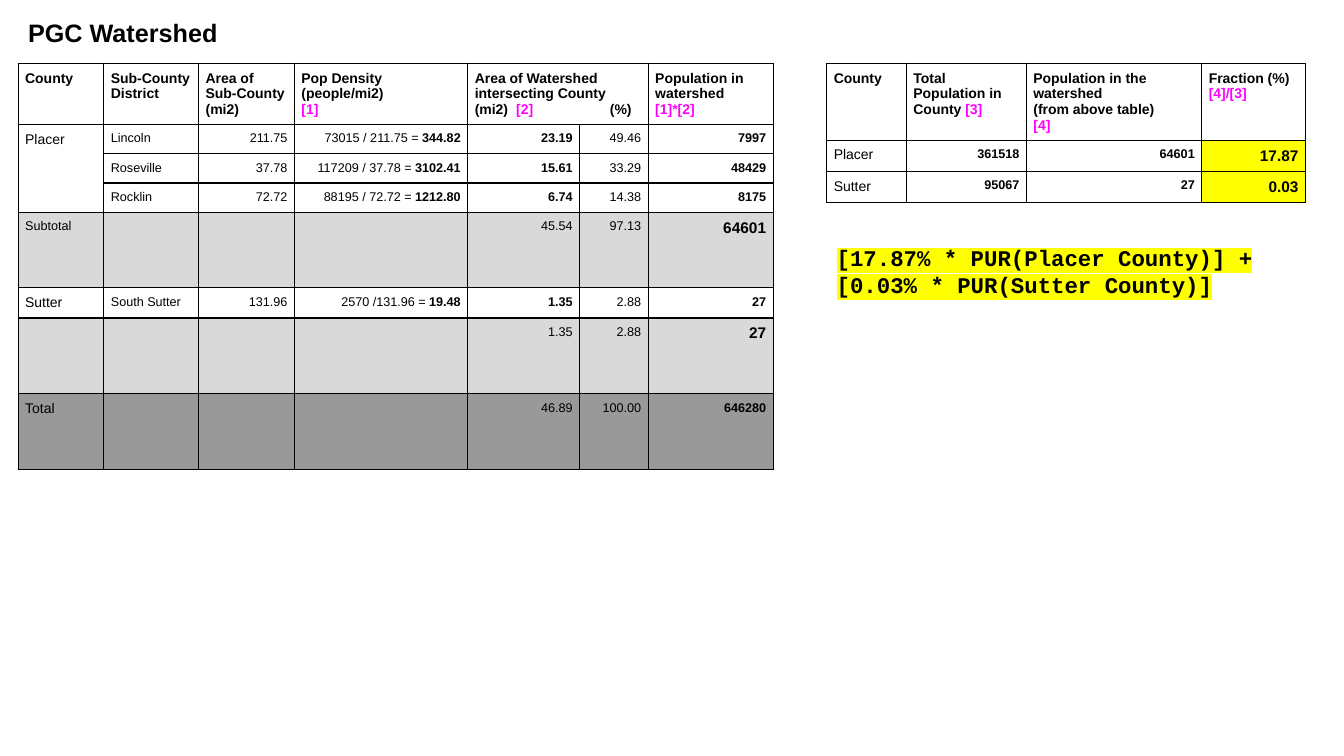
from dataclasses import dataclass

from lxml import etree
from pptx import Presentation
from pptx.dml.color import RGBColor
from pptx.enum.text import MSO_ANCHOR, PP_ALIGN
from pptx.oxml.ns import qn
from pptx.util import Inches, Pt


@dataclass(frozen=True)
class Theme:
    """Colours, fonts and type sizes of the slide."""
    black: str = "000000"
    white: str = "FFFFFF"
    reference: str = "FF00FF"
    subtotal: str = "D9D9D9"
    total: str = "999999"
    highlight: str = "FFFF00"
    sans: str = "Arial"
    mono: str = "Courier New"
    title: int = 18
    formula: int = 16
    result: int = 11
    label: int = 10
    value: int = 9


T = Theme()
CELL_MARGIN = Inches(0.07)
HEADER_TABS = (0.41, 1.34)

WATERSHED_HEADERS = [
    "County", "Sub-County District", "Area of Sub-County (mi2)",
    "Pop Density (people/mi2)\n|[1]",
    "Area of Watershed intersecting County\n(mi2)\t|[2]|\t(%)", "",
    "Population in watershed\n|[1]*[2]",
]
WATERSHED_ROWS = [
    ["Placer", "Lincoln", "211.75", "73015 / 211.75 = |344.82", "|23.19", "49.46", "|7997"],
    ["", "Roseville", "37.78", "117209 / 37.78 = |3102.41", "|15.61", "33.29", "|48429"],
    ["", "Rocklin", "72.72", "88195 / 72.72 = |1212.80", "|6.74", "14.38", "|8175"],
    ["Subtotal", "", "", "", "45.54", "97.13", "|64601"],
    ["Sutter", "South Sutter", "131.96", "2570 /131.96 = |19.48", "|1.35", "2.88", "|27"],
    ["", "", "", "", "1.35", "2.88", "|27"],
    ["Total", "", "", "", "46.89", "100.00", "|646280"],
]
ROW_FILLS = {4: T.subtotal, 6: T.subtotal, 7: T.total}

FRACTION_HEADERS = [
    "County", "Total Population in County |[3]",
    "Population in the watershed\n(from above table)\n|[4]",
    "Fraction (%)\n|[4]/[3]",
]
FRACTION_ROWS = [
    ["Placer", "|361518", "|64601", "|17.87"],
    ["Sutter", "|95067", "|27", "|0.03"],
]


def style_run(r, size, bold=False, color=T.black, font=T.sans):
    """Apply font, size, weight and colour to a run."""
    r.font.name = font
    r.font.size = Pt(size)
    r.font.bold = bold
    r.font.color.rgb = RGBColor.from_string(color)


def add_tabs(p, stops):
    """Give a paragraph left tab stops at the given inches."""
    tabs = etree.SubElement(p._p.get_or_add_pPr(), qn("a:tabLst"))
    for stop in stops:
        etree.SubElement(tabs, qn("a:tab"), pos=str(Inches(stop)), algn="l")


def write_cell(cell, text, size, header=False, align=PP_ALIGN.LEFT):
    """Write lines whose bar-separated pieces alternate plain and emphasised."""
    tf = cell.text_frame
    for i, line in enumerate(text.split("\n")):
        p = tf.add_paragraph() if i else tf.paragraphs[0]
        p.alignment = align
        if "\t" in line:
            add_tabs(p, HEADER_TABS)
        for j, piece in enumerate(line.split("|")):
            if piece:
                r = p.add_run()
                r.text = piece
                accent = j % 2 == 1
                color = T.reference if header and accent else T.black
                style_run(r, size, header or accent, color)


def style_cell(cell, fill):
    """Set margins, black borders and fill of a cell."""
    cell.margin_left = cell.margin_right = CELL_MARGIN
    cell.margin_top = cell.margin_bottom = CELL_MARGIN
    tc_pr = cell._tc.get_or_add_tcPr()
    for side in ("lnL", "lnR", "lnT", "lnB"):
        ln = etree.SubElement(tc_pr, qn(f"a:{side}"), w=str(Pt(1)))
        solid = etree.SubElement(ln, qn("a:solidFill"))
        etree.SubElement(solid, qn("a:srgbClr"), val=T.black)
    cell.fill.solid()
    cell.fill.fore_color.rgb = RGBColor.from_string(fill)


def add_grid(slide, left, top, widths, heights, headers):
    """Add a plain table with its header row and return it."""
    frame = slide.shapes.add_table(
        len(heights), len(widths), Inches(left), Inches(top),
        Inches(sum(widths)), Inches(sum(heights)))
    table = frame.table
    table.first_row = table.horz_banding = False
    for column, width in zip(table.columns, widths):
        column.width = Inches(width)
    for row, height in zip(table.rows, heights):
        row.height = Inches(height)
    for col, text in enumerate(headers):
        cell = table.cell(0, col)
        style_cell(cell, T.white)
        write_cell(cell, text, T.label, header=True)
    return table


def add_watershed_table(slide):
    """Add the population table by sub-county district."""
    table = add_grid(
        slide, 0.18, 0.63, [0.85, 0.94, 0.95, 1.72, 1.11, 0.68, 1.24],
        [0.6, 0.29, 0.29, 0.29, 0.75, 0.3, 0.75, 0.75], WATERSHED_HEADERS)
    for row, values in enumerate(WATERSHED_ROWS, 1):
        fill = ROW_FILLS.get(row, T.white)
        for col, text in enumerate(values):
            size = T.value
            if col == 0 and text != "Subtotal":
                size = T.label
            elif col == 6 and fill == T.subtotal:
                size = T.result
            cell = table.cell(row, col)
            style_cell(cell, fill)
            write_cell(cell, text, size,
                       align=PP_ALIGN.RIGHT if col > 1 else PP_ALIGN.LEFT)
    table.cell(0, 4).merge(table.cell(0, 5))
    table.cell(1, 0).merge(table.cell(3, 0))


def add_fraction_table(slide):
    """Add the table of each county's population fraction."""
    table = add_grid(slide, 8.2, 0.63, [0.79, 1.19, 1.74, 1.03],
                     [0.76, 0.31, 0.31], FRACTION_HEADERS)
    sizes = [T.label, T.value, T.value, T.result]
    for row, values in enumerate(FRACTION_ROWS, 1):
        for col, text in enumerate(values):
            cell = table.cell(row, col)
            style_cell(cell, T.highlight if col == 3 else T.white)
            write_cell(cell, text, sizes[col],
                       align=PP_ALIGN.RIGHT if col else PP_ALIGN.LEFT)


def add_text(slide, text, left, top, width, height, size, font=T.sans,
             anchor=MSO_ANCHOR.TOP, highlight=None):
    """Add a bold text box, optionally with highlighted text."""
    sp = slide.shapes.add_textbox(
        Inches(left), Inches(top), Inches(width), Inches(height))
    tf = sp.text_frame
    tf.word_wrap = True
    tf.vertical_anchor = anchor
    tf.text = text
    r = tf.paragraphs[0].runs[0]
    style_run(r, size, True, font=font)
    if highlight:
        mark = etree.Element(qn("a:highlight"))
        etree.SubElement(mark, qn("a:srgbClr"), val=highlight)
        r._r.rPr.find(qn("a:solidFill")).addnext(mark)


def main():
    """Build and save the slide."""
    prs = Presentation()
    prs.slide_width, prs.slide_height = Inches(13.33), Inches(7.5)
    slide = prs.slides.add_slide(prs.slide_layouts[6])
    add_watershed_table(slide)
    add_fraction_table(slide)
    add_text(slide, "PGC Watershed", 0.18, 0.12, 2.71, 0.4, T.title,
             anchor=MSO_ANCHOR.MIDDLE)
    add_text(slide, "[17.87% * PUR(Placer County)] + [0.03% * PUR(Sutter County)]",
             8.2, 2.37, 4.35, 0.94, T.formula, T.mono, highlight=T.highlight)
    prs.save("out.pptx")


if __name__ == "__main__":
    main()
